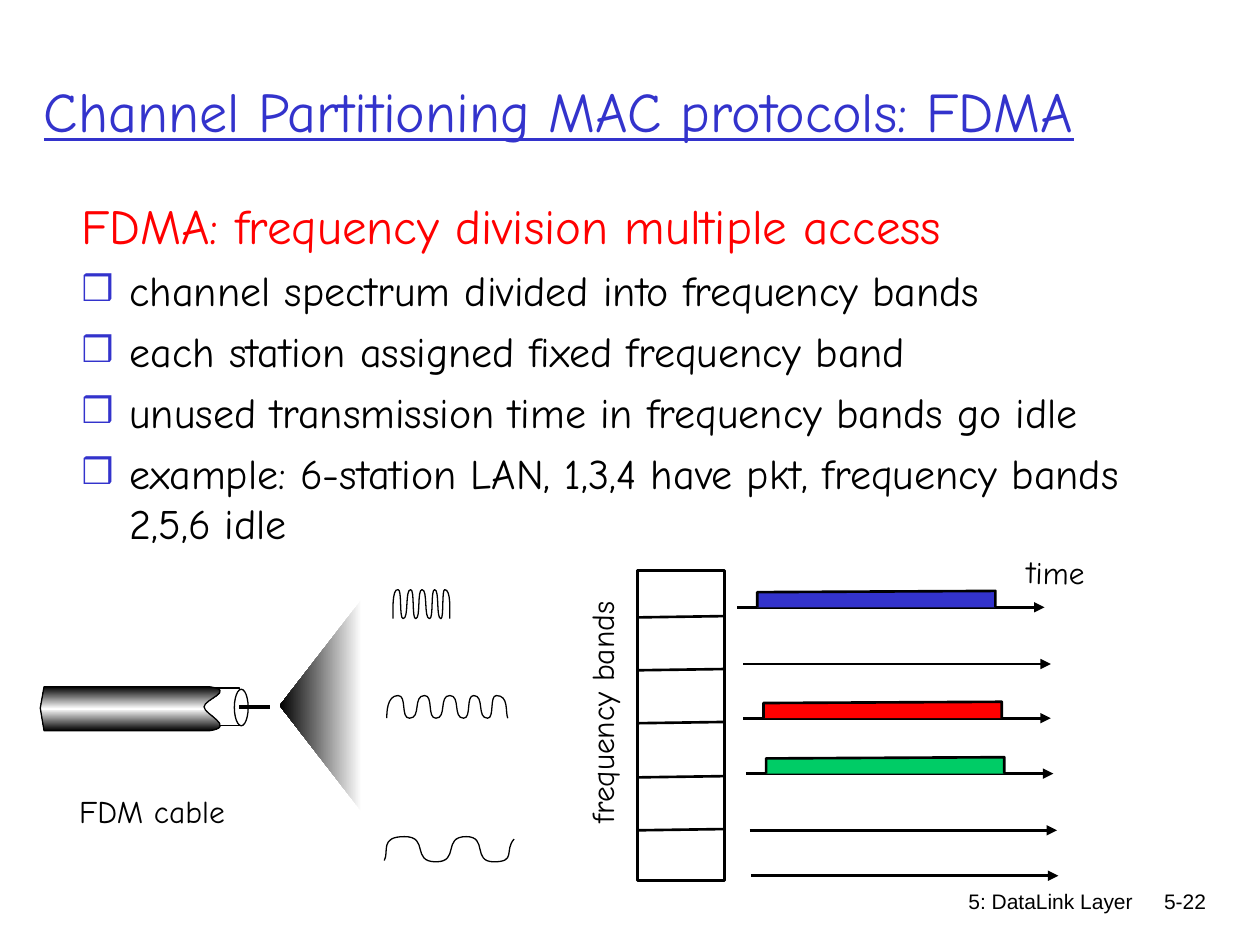
from lxml.etree import SubElement
from pptx import Presentation
from pptx.dml.color import RGBColor
from pptx.enum.shapes import MSO_CONNECTOR as Connector, MSO_SHAPE as Preset
from pptx.enum.text import MSO_ANCHOR as Anchor, PP_ALIGN as Align
from pptx.oxml.ns import qn
from pptx.util import Inches, Pt

COLORS = {
    "ink": "000000", "paper": "FFFFFF", "accent": "3333CC",
    "red": "FF0000", "green": "00CC66",
}
HAND, PLAIN = "Comic Neue", "Arial"


def color(name):
    return RGBColor.from_string(COLORS[name])


def style(shape, fill=None, line=None):
    shape.shadow.inherit = False
    if fill:
        shape.fill.solid()
        shape.fill.fore_color.rgb = color(fill)
    else:
        shape.fill.background()
    if line:
        shape.line.color.rgb = color("ink")
        shape.line.width = Pt(line)
    else:
        shape.line.fill.background()


def add_preset(slide, preset, box, line):
    style(slide.shapes.add_shape(preset, *map(Inches, box)), "paper", line)


def add_outline(slide, start, segments, close=False, fill=None, line=None):
    points = [(Inches(x), Inches(y)) for segment in segments for x, y in segment]
    builder = slide.shapes.build_freeform(*map(Inches, start))
    builder.add_line_segments(points, close=close)
    outline = builder.convert_to_shape()
    steps = iter(list(outline._element.iter(qn("a:lnTo"))))
    for segment in segments:
        first, *others = [next(steps) for _ in segment]
        if others:
            first.tag = qn("a:cubicBezTo")
            for step in others:
                first.append(step[0])
                step.getparent().remove(step)
    style(outline, fill, line)
    return outline


def straight(*points):
    return [(point,) for point in points]


def shade(shape, stops, angle):
    shape.fill.gradient()
    shape.fill.gradient_angle = angle
    stop_list = shape.fill._fill._gradFill.find(qn("a:gsLst"))
    stop_list.clear()
    for position, name in stops:
        stop = SubElement(stop_list, qn("a:gs"), pos=str(position * 1000))
        SubElement(stop, qn("a:srgbClr"), val=COLORS[name])


def add_wave(slide, start, lead, crests, top, bottom, trail, end):
    turns = [(x, bottom if i % 2 else top) for i, x in enumerate(crests)]
    segments = [(*lead, turns[0])]
    for (x1, y1), (x2, y2) in zip(turns, turns[1:]):
        pull = 0.8 * (x2 - x1)
        segments.append(((x1 + pull, y1), (x2 - pull, y2), (x2, y2)))
    segments.append((*trail, end))
    add_outline(slide, start, segments, line=0.75)


def add_line(slide, start, end, width=1.5, arrow=False):
    line = slide.shapes.add_connector(
        Connector.STRAIGHT, *map(Inches, (*start, *end)))
    line.line.color.rgb = color("ink")
    line.line.width = Pt(width)
    if arrow:
        SubElement(line.line._get_or_add_ln(), qn("a:tailEnd"), type="triangle")
    SubElement(line._element.spPr, qn("a:effectLst"))


def format_runs(paragraph, size, ink="ink", font=HAND, underline=None):
    for run in paragraph.runs:
        run.font.size = Pt(size)
        run.font.name = font
        run.font.color.rgb = color(ink)
        run.font.underline = underline


def add_text(slide, box, text, size, wrap=False, align=None, rotation=0, **look):
    label = slide.shapes.add_textbox(*map(Inches, box))
    label.rotation = rotation
    frame = label.text_frame
    frame.word_wrap = wrap
    frame.text = text
    frame.paragraphs[0].alignment = align
    format_runs(frame.paragraphs[0], size, **look)
    return frame


def add_bullet(frame, text):
    paragraph = frame.add_paragraph()
    paragraph.text = text
    properties = paragraph._p.get_or_add_pPr()
    properties.set("marL", str(Inches(0.38)))
    properties.set("indent", str(Inches(-0.38)))
    mark = SubElement(properties, qn("a:buClr"))
    SubElement(mark, qn("a:srgbClr"), val=COLORS["accent"])
    SubElement(properties, qn("a:buSzPct"), val="85000")
    SubElement(properties, qn("a:buFont"), typeface=HAND)
    SubElement(properties, qn("a:buChar"), char="❒")
    paragraph.space_before = Pt(6)
    format_runs(paragraph, 24)


def add_body(slide):
    title = add_text(slide, (0.25, 0.25, 9.44, 1.25),
                     "Channel Partitioning MAC protocols: FDMA", 32,
                     wrap=True, ink="accent", underline=True)
    title.vertical_anchor = Anchor.MIDDLE
    body = add_text(slide, (0.55, 1.5, 8.99, 5.08),
                    "FDMA: frequency division multiple access", 28,
                    wrap=True, ink="red")
    for text in (
        "channel spectrum divided into frequency bands",
        "each station assigned fixed frequency band",
        "unused transmission time in frequency bands go idle",
        "example: 6-station LAN, 1,3,4 have pkt, frequency bands 2,5,6 idle",
    ):
        add_bullet(body, text)


def add_bands(slide):
    add_preset(slide, Preset.RECTANGLE, (5.06, 4.53, 0.69, 2.46), 1.5)
    for y in (4.9, 5.32, 5.74, 6.17, 6.59):
        add_line(slide, (5.06, y), (5.74, y - 0.01))
    for x, y, bar in (
        (5.85, 4.82, "accent"), (5.9, 5.27, None), (5.9, 5.7, "red"),
        (5.92, 6.14, "green"), (5.95, 6.59, None), (5.96, 6.95, None),
    ):
        add_line(slide, (x, y), (x + 2.44, y), arrow=True)
        if bar:
            left, right = x + 0.16, x + 2.05
            sides = straight((left, y - 0.12), (right, y - 0.13), (right, y))
            add_outline(slide, (left, y), sides, fill=bar, line=1.5)
    add_text(slide, (3.79, 5.45, 1.97, 0.4), "frequency bands", 18, rotation=270)
    add_text(slide, (8.05, 4.34, 0.66, 0.4), "time", 18, rotation=1.1)


def add_cable(slide):
    fan = add_outline(slide, (2.87, 4.76),
                      straight((2.22, 5.6), (2.87, 6.44)), close=True)
    shade(fan, [(0, "paper"), (100, "ink")], 180)

    add_preset(slide, Preset.RECTANGLE, (1.61, 5.46, 0.29, 0.3), 0.75)
    edge = straight((0.32, 5.62), (0.35, 5.8), (1.66, 5.8))
    edge += [((1.88, 5.77), (1.62, 5.67), (1.62, 5.61)),
             ((1.62, 5.55), (1.88, 5.48), (1.66, 5.45))]
    jacket = add_outline(slide, (0.35, 5.45), edge, close=True, line=0.75)
    shade(jacket, [(0, "ink"), (50, "paper"), (100, "ink")], 270)
    add_preset(slide, Preset.OVAL, (1.86, 5.47, 0.11, 0.29), 0.75)
    add_line(slide, (1.9, 5.61), (2.14, 5.61), 2.25)
    add_text(slide, (0.53, 6.24, 1.36, 0.4), "FDM cable", 18)


def add_waves(slide):
    add_wave(slide, (3.07, 5.7), ((3.07, 5.66), (3.07, 5.52)),
             (3.16, 3.25, 3.37, 3.46, 3.57, 3.68, 3.76, 3.87, 3.94),
             5.52, 5.7, ((4.04, 5.52), (4.01, 5.65)), (4.03, 5.7))
    add_wave(slide, (3.12, 4.91), ((3.12, 4.86), (3.11, 4.67)),
             (3.16, 3.2, 3.26, 3.3, 3.35, 3.41, 3.45, 3.5, 3.53),
             4.68, 4.91, ((3.58, 4.68), (3.57, 4.84)), (3.57, 4.91))
    add_wave(slide, (3.05, 6.83), ((3.09, 6.76), (3.01, 6.64)),
             (3.21, 3.46, 3.7, 3.92),
             6.64, 6.84, ((4.1, 6.84), (4, 6.75)), (4.08, 6.66))


def add_footer(slide):
    for box, text in (((5.92, 7, 3.17, 0.5), "5: DataLink Layer"),
                      ((8.93, 7, 0.74, 0.5), "5-22")):
        add_text(slide, box, text, 12, wrap=True, align=Align.RIGHT, font=PLAIN)


def main():
    deck = Presentation()
    deck.slide_width, deck.slide_height = Inches(10), Inches(7.5)
    slide = deck.slides.add_slide(deck.slide_layouts[6])
    add_footer(slide)
    add_body(slide)
    add_bands(slide)
    add_cable(slide)
    add_waves(slide)
    deck.save("out.pptx")


if __name__ == "__main__":
    main()
